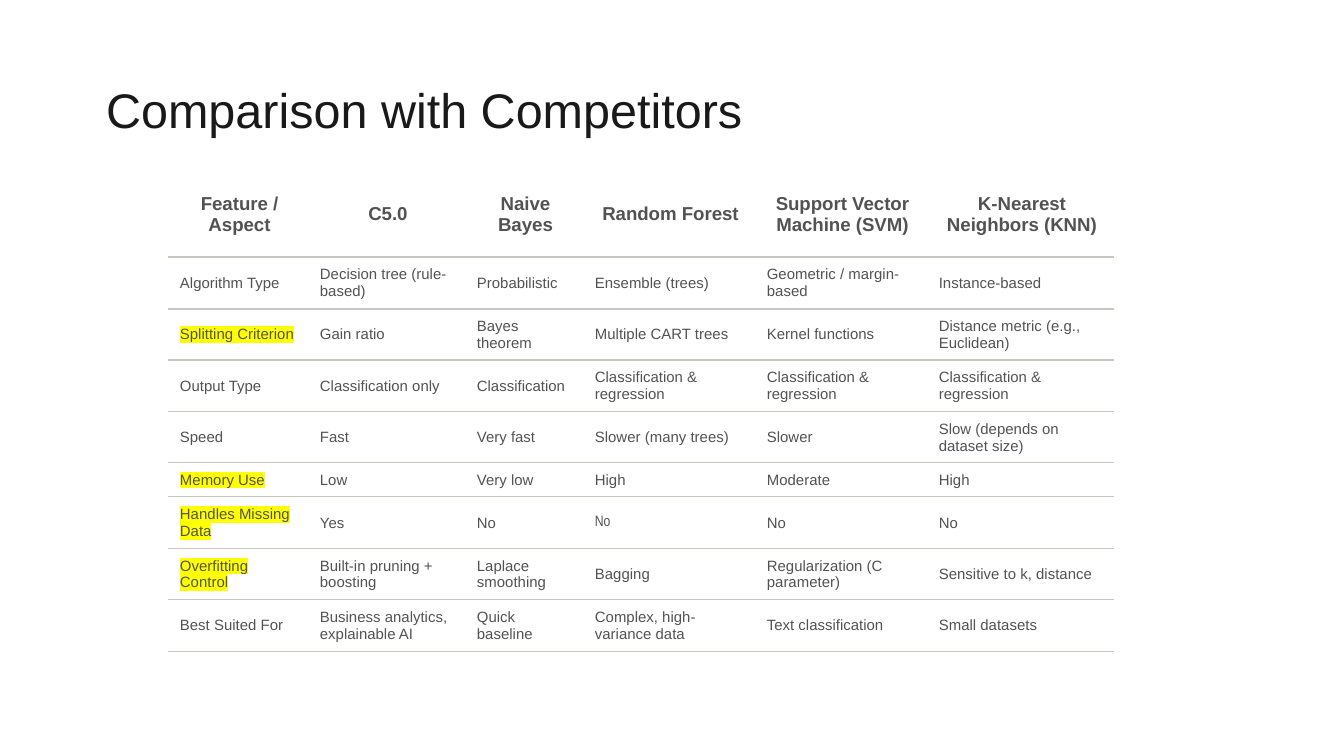
from lxml import etree
from pptx import Presentation
from pptx.dml.color import RGBColor
from pptx.enum.text import MSO_ANCHOR, PP_ALIGN
from pptx.oxml.ns import qn
from pptx.util import Pt

MIDDLE = MSO_ANCHOR.MIDDLE
LEFT, CENTER = PP_ALIGN.LEFT, PP_ALIGN.CENTER
PX = 9144000 / 1344  # EMU in one px

THEME = {
    "font": "Arial", "narrow": "Arial Narrow",
    "title": "191919", "text": "525252", "rule": "C7C6C1", "mark": "FFFF00",
    "title_pt": 26, "head_pt": 10, "body_pt": 8, "rule_pt": 0.75,
}

COLUMNS = [140, 157, 118, 172, 172, 187]
ROW_HEIGHTS = [85, 52, 51, 52, 51, 34, 52, 51, 52]
ROWS = [
    ["Feature / Aspect", "C5.0", "Naive Bayes", "Random Forest",
     "Support Vector Machine (SVM)", "K-Nearest Neighbors (KNN)"],
    ["Algorithm Type", "Decision tree (rule-based)", "Probabilistic",
     "Ensemble (trees)", "Geometric / margin-based", "Instance-based"],
    ["Splitting Criterion", "Gain ratio", "Bayes theorem",
     "Multiple CART trees", "Kernel functions", "Distance metric (e.g., Euclidean)"],
    ["Output Type", "Classification only", "Classification",
     "Classification & regression", "Classification & regression",
     "Classification & regression"],
    ["Speed", "Fast", "Very fast", "Slower (many trees)", "Slower",
     "Slow (depends on dataset size)"],
    ["Memory Use", "Low", "Very low", "High", "Moderate", "High"],
    ["Handles Missing Data", "Yes", "No", "No", "No", "No"],
    ["Overfitting Control", "Built-in pruning + boosting", "Laplace smoothing",
     "Bagging", "Regularization (C parameter)", "Sensitive to k, distance"],
    ["Best Suited For", "Business analytics, explainable AI", "Quick baseline",
     "Complex, high-variance data", "Text classification", "Small datasets"],
]
MARKED = {"Splitting Criterion", "Memory Use", "Handles Missing Data",
          "Overfitting Control"}
NARROW_CELL = (6, 3)


def px(n):
    return round(n * PX)


def add_run(p, text, size, color, font, bold=False):
    r = p.add_run()
    r.text = text
    r.font.size = Pt(size)
    r.font.bold = bold
    r.font.color.rgb = RGBColor.from_string(color)
    r.font.name = font
    return r


prs = Presentation()
prs.slide_width, prs.slide_height = px(1344), px(756)
s = prs.slides.add_slide(prs.slide_layouts[6])

# Title
sp = s.shapes.add_textbox(px(93), px(40), px(1158), px(146))
tf = sp.text_frame
tf.word_wrap = True
tf.vertical_anchor = MIDDLE
tf.margin_left = tf.margin_right = tf.margin_top = tf.margin_bottom = px(13)
p = tf.paragraphs[0]
p.line_spacing = 0.9
p.space_after = Pt(6)
add_run(p, "Comparison with Competitors", THEME["title_pt"], THEME["title"], THEME["font"])

# Comparison table
table = s.shapes.add_table(len(ROWS), len(COLUMNS), px(168), px(172),
                           px(sum(COLUMNS)), px(sum(ROW_HEIGHTS))).table
table.horz_banding = False
for column, width in zip(table.columns, COLUMNS):
    column.width = px(width)
for row, height in zip(table.rows, ROW_HEIGHTS):
    row.height = px(height)

for i, texts in enumerate(ROWS):
    head = i == 0
    for j, text in enumerate(texts):
        cell = table.cell(i, j)
        cell.vertical_anchor = MIDDLE
        cell.margin_left, cell.margin_right = px(12), px(9)
        cell.margin_top = cell.margin_bottom = px(7)

        p = cell.text_frame.paragraphs[0]
        p.alignment = CENTER if head else LEFT
        r = add_run(p, text, THEME["head_pt" if head else "body_pt"], THEME["text"],
                    THEME["narrow" if (i, j) == NARROW_CELL else "font"], head)
        if text in MARKED:
            highlight = etree.Element(qn("a:highlight"))
            etree.SubElement(highlight, qn("a:srgbClr"), val=THEME["mark"])
            r.font._element.find(qn("a:solidFill")).addnext(highlight)

        # Rules run between rows and below the last one only
        tc_pr = cell._tc.get_or_add_tcPr()
        for side in "LRTB":
            ln = etree.SubElement(tc_pr, qn("a:ln" + side), w=str(Pt(THEME["rule_pt"])))
            if side == "B" or (side == "T" and not head):
                fill = etree.SubElement(ln, qn("a:solidFill"))
                etree.SubElement(fill, qn("a:srgbClr"), val=THEME["rule"])
            else:
                etree.SubElement(ln, qn("a:noFill"))
        cell.fill.background()

prs.save("out.pptx")
